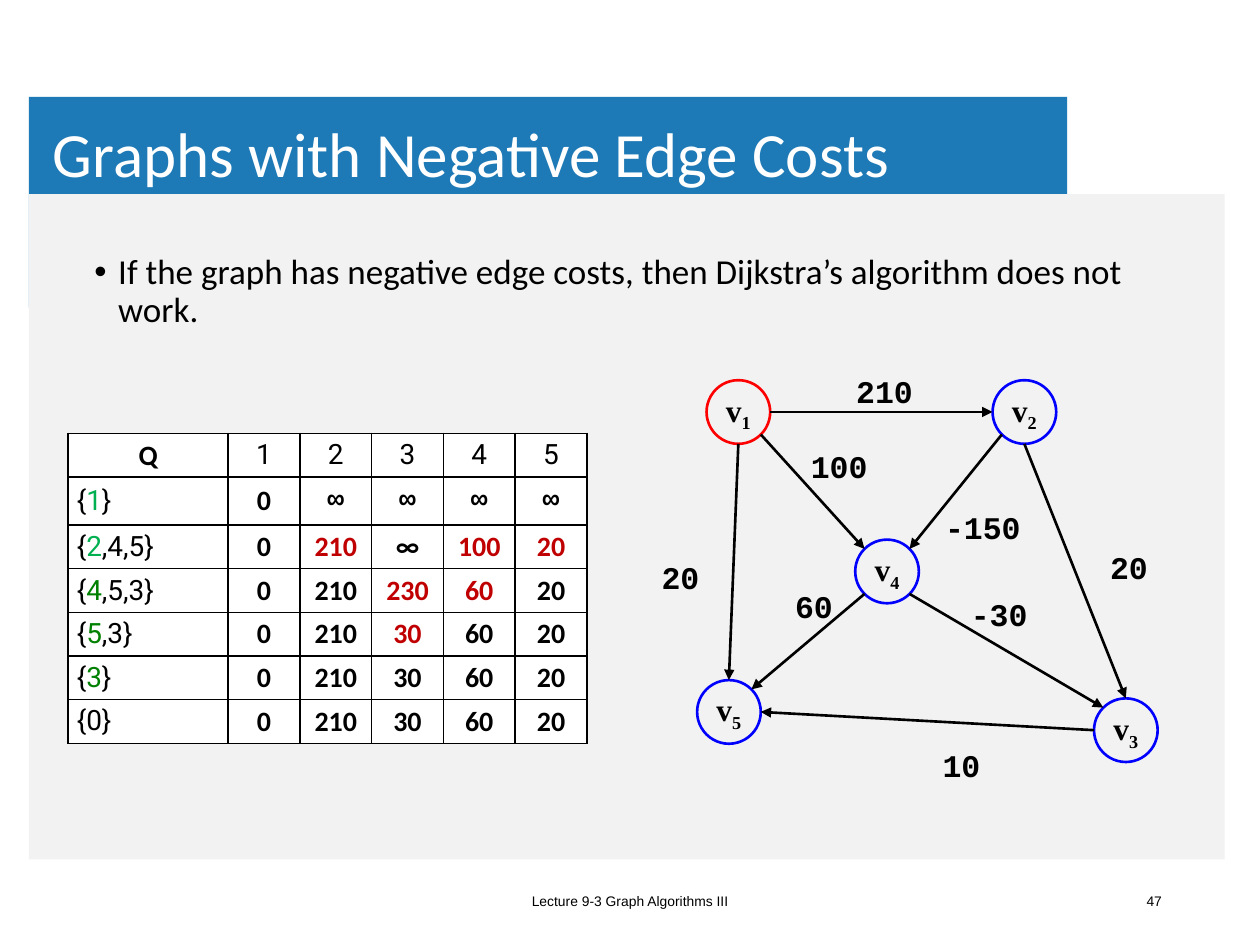
from dataclasses import dataclass
from typing import NamedTuple

from lxml import etree
from pptx import Presentation
from pptx import util as u
from pptx.dml.color import RGBColor
from pptx.enum import shapes, text
from pptx.oxml import ns

# The slide is a grid of 100 columns by 75 rows; all lengths are in grid units.
COLS, ROWS = 100, 75
CELL = u.Inches(0.1)
NODE = 5.05  # diameter of a vertex
DIAG = 0.707  # cosine of 45 degrees


@dataclass(frozen=True)
class Theme:
    banner: str = "1E7AB6"
    panel: str = "F2F2F2"
    white: str = "FFFFFF"
    ink: str = "000000"
    start: str = "FF0000"
    vertex: str = "0000FF"
    improved: str = "C00000"
    light_green: str = "00B050"
    green: str = "008000"
    title: float = 36
    body: float = 20
    graph: float = 18
    table: float = 16
    footer: float = 7.9
    line: float = 1.5


T = Theme()


class Box(NamedTuple):
    x: float
    y: float
    w: float
    h: float


class Style(NamedTuple):
    font: str
    size: float
    color: str = T.ink
    bold: bool = False


class Vertex(NamedTuple):
    x: float
    y: float
    color: str = T.vertex


class Edge(NamedTuple):
    start: int
    start_port: str
    end: int
    end_port: str
    cost: str
    label_x: float
    label_y: float


class Step(NamedTuple):
    settled: str
    settled_color: str
    rest: str
    costs: str
    improved: tuple = ()


PORTS = {"n": (0, -1), "s": (0, 1), "e": (1, 0), "w": (-1, 0),
         "ne": (DIAG, -DIAG), "nw": (-DIAG, -DIAG),
         "se": (DIAG, DIAG), "sw": (-DIAG, DIAG)}

VERTICES = {1: Vertex(58.6, 32.7, T.start), 2: Vertex(81.3, 32.7),
            3: Vertex(89.35, 57.95), 4: Vertex(70.4, 45.35), 5: Vertex(57.85, 56.5)}

EDGES = [Edge(1, "e", 2, "w", "210", 70.2, 31),
         Edge(1, "se", 4, "nw", "100", 66.6, 37),
         Edge(1, "s", 5, "n", "20", 54, 45.8),
         Edge(2, "sw", 4, "ne", "-150", 78, 41.8),
         Edge(2, "s", 3, "n", "20", 89.6, 45),
         Edge(4, "sw", 5, "ne", "60", 64.6, 48.1),
         Edge(4, "se", 3, "nw", "-30", 79.3, 48.7),
         Edge(3, "w", 5, "e", "10", 76.3, 60.7)]

STEPS = [Step("1", T.light_green, "", "0 ∞ ∞ ∞ ∞"),
         Step("2", T.light_green, ",4,5", "0 210 ∞ 100 20", (2, 4, 5)),
         Step("4", T.green, ",5,3", "0 210 230 60 20", (3, 4)),
         Step("5", T.green, ",3", "0 210 30 60 20", (3,)),
         Step("3", T.green, "", "0 210 30 60 20"),
         Step("", T.ink, "0", "0 210 30 60 20")]


def grid(*values: float) -> list:
    return [u.Emu(int(v * CELL)) for v in values]


def add_run(p, words: str, style: Style):
    r = p.add_run()
    r.text = words
    r.font.name, r.font.size, r.font.bold = style.font, u.Pt(style.size), style.bold
    r.font.color.rgb = RGBColor.from_string(style.color)
    return r


def add_text(s, box: Box, words: str, style: Style, align=text.PP_ALIGN.LEFT,
             anchor=text.MSO_ANCHOR.MIDDLE):
    tf = s.shapes.add_textbox(*grid(*box)).text_frame
    tf.word_wrap, tf.vertical_anchor = True, anchor
    p = tf.paragraphs[0]
    p.alignment = align
    add_run(p, words, style)
    return tf


def add_panel(s, box: Box, color: str) -> None:
    sp = s.shapes.add_shape(shapes.MSO_SHAPE.RECTANGLE, *grid(*box))
    sp.shadow.inherit = False
    sp.fill.solid()
    sp.fill.fore_color.rgb = RGBColor.from_string(color)
    sp.line.fill.background()


def add_vertex(s, number: int, v: Vertex) -> None:
    sp = s.shapes.add_shape(shapes.MSO_SHAPE.OVAL,
                            *grid(v.x - NODE / 2, v.y - NODE / 2, NODE, NODE))
    sp.shadow.inherit = False
    sp.fill.background()
    sp.line.color.rgb = RGBColor.from_string(v.color)
    sp.line.width = u.Pt(T.line)
    tf = sp.text_frame
    tf.word_wrap, tf.vertical_anchor = False, text.MSO_ANCHOR.MIDDLE
    p = tf.paragraphs[0]
    p.alignment = text.PP_ALIGN.CENTER
    style = Style("Times New Roman", T.graph, bold=True)
    add_run(p, "v", style)
    subscript = add_run(p, str(number), style)
    subscript.font._element.set("baseline", "-25000")


def port(number: int, side: str) -> list:
    v, (dx, dy) = VERTICES[number], PORTS[side]
    return grid(v.x + dx * NODE / 2, v.y + dy * NODE / 2)


def add_edge(s, e: Edge) -> None:
    line = s.shapes.add_connector(shapes.MSO_CONNECTOR.STRAIGHT,
                                  *port(e.start, e.start_port), *port(e.end, e.end_port))
    line.line.color.rgb = RGBColor.from_string(T.ink)
    line.line.width = u.Pt(T.line)
    etree.SubElement(line.line._get_or_add_ln(), ns.qn("a:tailEnd"), type="triangle")
    etree.SubElement(line._element.spPr, ns.qn("a:effectLst"))
    width = 3.6 + 1.8 * len(e.cost)
    add_text(s, Box(e.label_x - width / 2, e.label_y - 2, width, 4), e.cost,
             Style("Courier New", T.graph, bold=True), text.PP_ALIGN.CENTER)


def fill_cell(cell, runs: list, align, anchor=text.MSO_ANCHOR.MIDDLE) -> None:
    cell.margin_left, cell.margin_right, cell.margin_top, cell.margin_bottom = grid(.7, .7, .4, .4)
    cell.vertical_anchor = anchor
    p = cell.text_frame.paragraphs[0]
    p.alignment = align
    for words, style in runs:
        add_run(p, words, style)
    for side in ("lnL", "lnR", "lnT", "lnB"):
        ln = etree.SubElement(cell._tc.get_or_add_tcPr(), ns.qn("a:" + side), w=str(u.Pt(1)))
        etree.SubElement(etree.SubElement(ln, ns.qn("a:solidFill")),
                         ns.qn("a:srgbClr"), val=T.ink)
    cell.fill.solid()
    cell.fill.fore_color.rgb = RGBColor.from_string(T.white)


def add_steps(s, box: Box) -> None:
    table = s.shapes.add_table(len(STEPS) + 1, 6, *grid(*box)).table
    for i, col in enumerate(table.columns):
        col.width = grid(5.7 if i else 12.7)[0]
    for i, row in enumerate(table.rows):
        row.height = grid(3.8 if i == 1 else 3)[0]
    center = text.PP_ALIGN.CENTER
    plain, bold = Style("Roboto", T.table), Style("Calibri", T.table, bold=True)
    for c, words in enumerate("Q12345"):
        fill_cell(table.cell(0, c), [(words, plain if c else bold)], center, text.MSO_ANCHOR.TOP)
    for r, step in enumerate(STEPS, 1):
        runs = [("{", plain), (step.settled, plain._replace(color=step.settled_color)),
                (step.rest + "}", plain)]
        if not step.settled:
            runs = [("{" + step.rest + "}", plain)]
        fill_cell(table.cell(r, 0), runs, text.PP_ALIGN.LEFT)
        for c, cost in enumerate(step.costs.split(), 1):
            style = bold._replace(color=T.improved if c in step.improved else T.ink)
            if r == 1 and cost == "∞":
                style = style._replace(font="Courier New")
            fill_cell(table.cell(r, c), [(cost, style)], center)


def main() -> None:
    prs = Presentation()
    prs.slide_width, prs.slide_height = grid(COLS, ROWS)
    s = prs.slides.add_slide(prs.slide_layouts[6])

    # Banner, panel and title
    add_panel(s, Box(2.3, 7.7, 82.4, 16.7), T.banner)
    add_panel(s, Box(2.3, 15.4, 94.9, 52.8), T.panel)
    tf = add_text(s, Box(3.5, 7.6, 80.3, 9.8), "Graphs with Negative Edge Costs",
                  Style("Calibri", T.title, T.white))
    tf.margin_left, tf.margin_right, tf.margin_top, tf.margin_bottom = grid(.7, .7, .4, .4)
    tf.paragraphs[0].line_spacing = 0.9

    # Footer
    footer = Style("Arial", T.footer)
    add_text(s, Box(33.1, 69.5, 33.8, 4), "Lecture 9-3 Graph Algorithms III", footer,
             text.PP_ALIGN.CENTER)
    add_text(s, Box(70.7, 69.5, 22.5, 4), "47", footer, text.PP_ALIGN.RIGHT)

    # Bullet
    tf = add_text(s, Box(6.5, 19.7, 87.4, 8.3),
                  "If the graph has negative edge costs, then Dijkstra’s algorithm does not work.",
                  Style("Calibri", T.body), anchor=text.MSO_ANCHOR.TOP)
    p = tf.paragraphs[0]
    p.line_spacing = 0.9
    pPr = p._p.get_or_add_pPr()
    indent = grid(1.9)[0]
    pPr.set("marL", str(indent))
    pPr.set("indent", str(-indent))
    etree.SubElement(pPr, ns.qn("a:buFont"), typeface="Arial")
    etree.SubElement(pPr, ns.qn("a:buChar"), char="•")

    # Graph and table of steps
    for number, vertex in VERTICES.items():
        add_vertex(s, number, vertex)
    for edge in EDGES:
        add_edge(s, edge)
    add_steps(s, Box(5.4, 34.4, 41.2, 24.2))
    prs.save("out.pptx")


if __name__ == "__main__":
    main()
